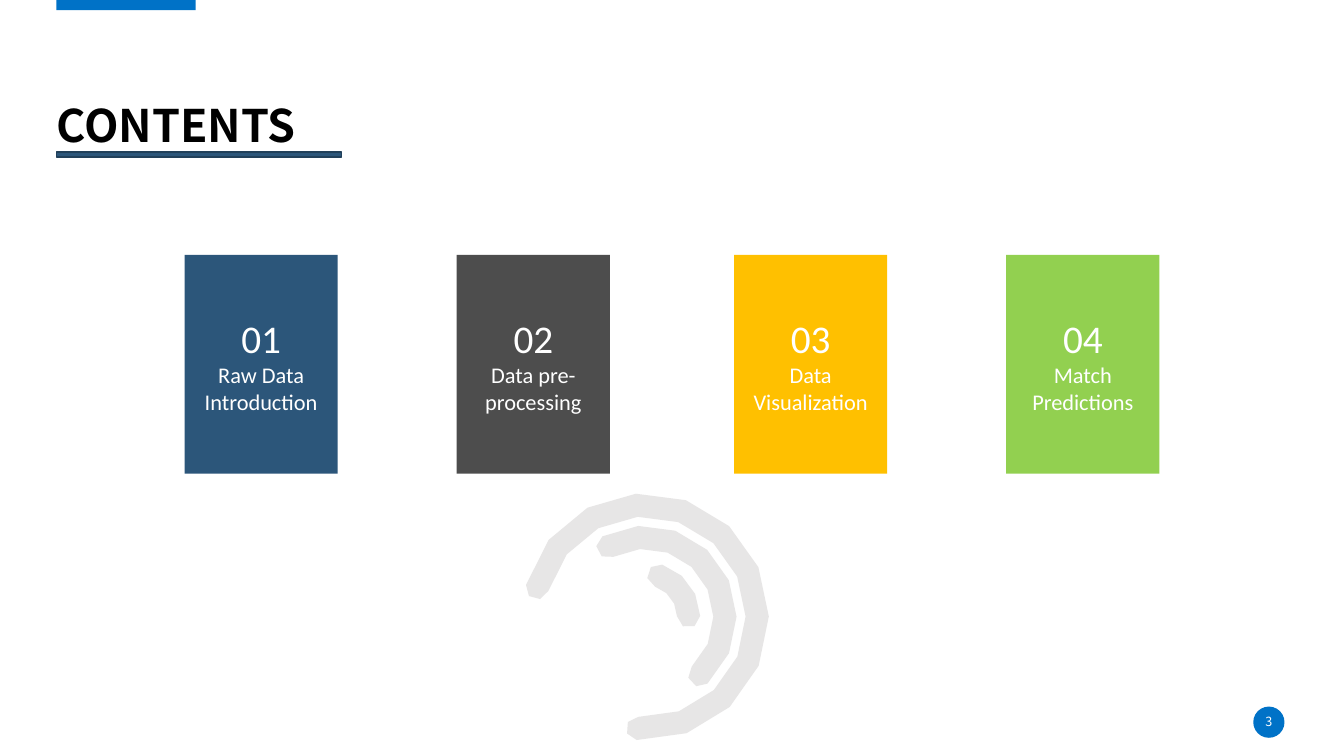
import math
from dataclasses import dataclass

import pptx
import pptx.dml.color
import pptx.enum.shapes
import pptx.enum.text
import pptx.util

Inches = pptx.util.Inches
RECTANGLE = pptx.enum.shapes.MSO_SHAPE.RECTANGLE
OVAL = pptx.enum.shapes.MSO_SHAPE.OVAL
ALIGN = pptx.enum.text.PP_ALIGN


@dataclass(frozen=True)
class Theme:
    accent: str = "0072C7"
    navy: str = "2C567A"
    navy_edge: str = "21405A"
    gray: str = "4D4D4D"
    amber: str = "FFC000"
    green: str = "92D050"
    swirl: str = "E7E6E6"
    black: str = "000000"
    white: str = "FFFFFF"
    heading_font: str = "Noto Sans CJK SC"
    body_font: str = "Calibri"
    title_size: int = 32
    number_size: int = 28
    topic_size: int = 16
    page_size: int = 9


THEME = Theme()
TOPICS = [
    ("Raw Data Introduction", THEME.navy),
    ("Data pre-processing", THEME.gray),
    ("Data Visualization", THEME.amber),
    ("Match Predictions", THEME.green),
]


def rgb(color):
    return pptx.dml.color.RGBColor.from_string(color)


def paint(shape, fill, edge=None):
    shape.shadow.inherit = False
    shape.fill.solid()
    shape.fill.fore_color.rgb = rgb(fill)
    if edge:
        shape.line.color.rgb = rgb(edge)
        shape.line.width = pptx.util.Pt(1)
    else:
        shape.line.fill.background()


def add_block(slide, kind, box, fill, edge=None):
    block = slide.shapes.add_shape(kind, *map(Inches, box))
    paint(block, fill, edge)
    return block


def write(shape, *lines, font, sizes, color, bold=False,
          align=ALIGN.CENTER, spacing=None, inset=None):
    frame = shape.text_frame
    frame.word_wrap = True
    frame.auto_size = pptx.enum.text.MSO_AUTO_SIZE.NONE
    frame.vertical_anchor = pptx.enum.text.MSO_ANCHOR.MIDDLE
    if inset is not None:
        frame.margin_left = frame.margin_right = Inches(inset)
        frame.margin_top = frame.margin_bottom = Inches(inset)
    frame.text = "\n".join(lines)
    for paragraph, size in zip(frame.paragraphs, sizes):
        paragraph.alignment = align
        if spacing:
            paragraph.line_spacing = spacing
        letters = paragraph.runs[0].font
        letters.name = font
        letters.size = pptx.util.Pt(size)
        letters.bold = bold
        letters.color.rgb = rgb(color)


def arc_points(center_x, center_y, radius, angle, sweep, steps):
    points = []
    for step in range(steps + 1):
        turn = math.radians(angle + sweep * step / steps)
        points.append((center_x + radius * math.cos(turn),
                       center_y + radius * math.sin(turn)))
    return points


def rounded_arc(center_x, center_y, radius, thickness, start, end):
    cap = thickness / 2
    sweep = end - start
    steps = round(sweep / 24)
    first, last = arc_points(center_x, center_y, radius, start, sweep, 1)
    outline = [
        *arc_points(center_x, center_y, radius + cap, start, sweep, steps),
        *arc_points(*last, cap, end, 180, 3)[1:-1],
        *arc_points(center_x, center_y, radius - cap, end, -sweep, steps),
        *arc_points(*first, cap, start + 180, 180, 3)[1:-1],
    ]
    return [(Inches(x), Inches(y)) for x, y in outline]


def add_swirl(slide, box):
    left, top, width, height = box
    center = left + width / 2, top + height / 2
    swirl = slide.shapes.add_group_shape()
    for radius, start, end in [(1.11, 195, 454), (0.79, 242, 407), (0.43, 288, 359)]:
        outline = rounded_arc(*center, radius, 0.23, start, end)
        builder = swirl.shapes.build_freeform(*outline[0])
        builder.add_line_segments(outline[1:], close=True)
        paint(builder.convert_to_shape(), THEME.swirl)


def add_heading(slide, box):
    left, top, width, height = box
    add_block(slide, RECTANGLE, (left, -0.02, 1.38, 0.12), THEME.accent)
    title = slide.shapes.title
    title.left, title.top, title.width, title.height = map(Inches, box)
    write(title, "CONTENTS", font=THEME.heading_font, sizes=[THEME.title_size],
          color=THEME.black, bold=True, align=ALIGN.LEFT, spacing=0.9, inset=0)
    add_block(slide, RECTANGLE, (left, top + 0.97, 2.83, 0.05),
              THEME.navy, THEME.navy_edge)


def add_topics(slide, box):
    left, top, width, height = box
    card_width, pair_step = 1.52, 5.45
    card_step = width - pair_step - card_width
    for index, (topic, fill) in enumerate(TOPICS):
        pair, member = divmod(index, 2)
        card_left = left + pair * pair_step + member * card_step
        card = add_block(slide, RECTANGLE, (card_left, top, card_width, height), fill)
        write(card, f"{index + 1:02}", topic, font=THEME.body_font,
              sizes=[THEME.number_size, THEME.topic_size], color=THEME.white)


def add_page_number(slide, box):
    left, top, width, height = box
    add_block(slide, OVAL, box, THEME.accent)
    page = slide.shapes.add_textbox(
        *map(Inches, (left, top + 0.05, width, height - 0.11)))
    write(page, "3", font=THEME.heading_font, sizes=[THEME.page_size],
          color=THEME.white, inset=0)


def main():
    deck = pptx.Presentation()
    deck.slide_width, deck.slide_height = Inches(13.33), Inches(7.5)
    slide = deck.slides.add_slide(deck.slide_layouts.get_by_name("Title Only"))
    add_swirl(slide, (5.18, 4.9, 2.44, 2.44))
    add_page_number(slide, (12.43, 7.01, 0.31, 0.31))
    add_heading(slide, (0.56, 0.54, 5.4, 1.45))
    add_topics(slide, (1.83, 2.53, 9.67, 2.17))
    deck.save("out.pptx")


if __name__ == "__main__":
    main()
